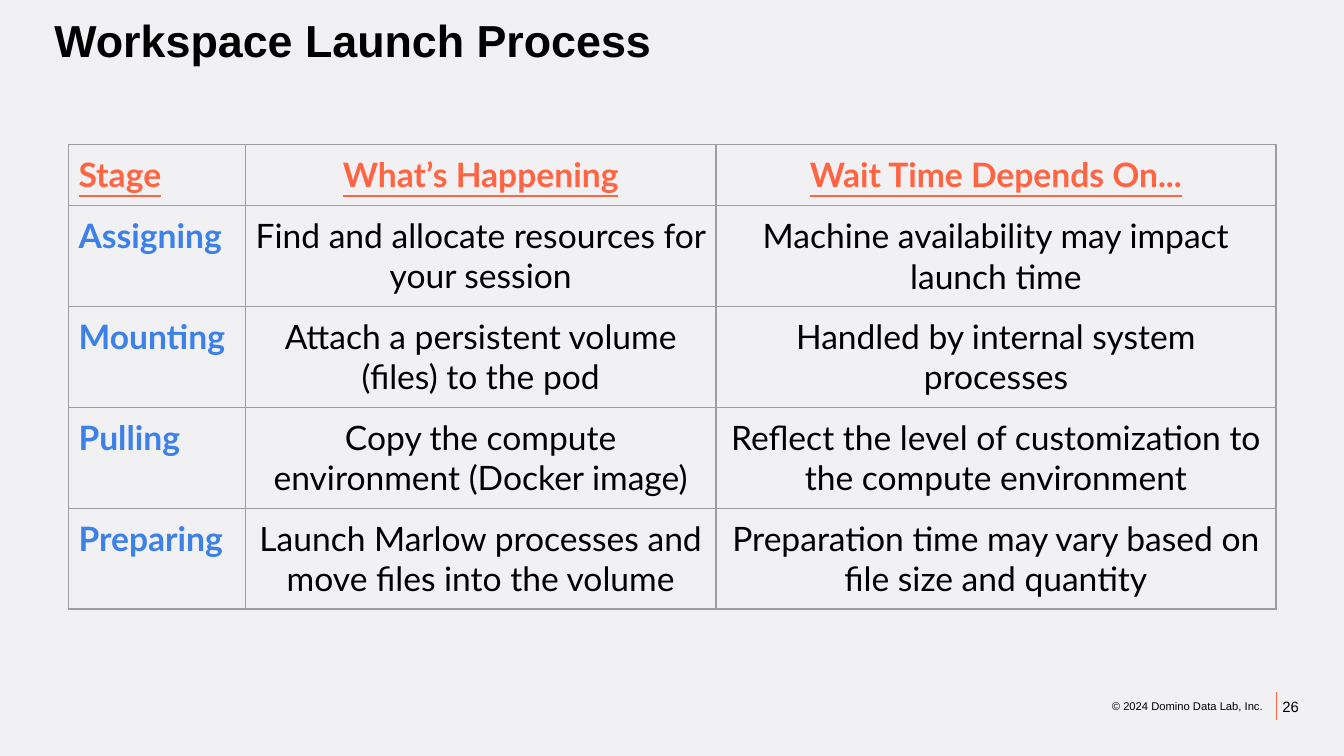
from lxml.etree import SubElement
from pptx import Presentation
from pptx.dml.color import RGBColor
from pptx.enum.shapes import MSO_CONNECTOR
from pptx.enum.text import MSO_ANCHOR, PP_ALIGN
from pptx.oxml.ns import qn
from pptx.util import Inches, Pt

# Slide size (16:9) and colours
WIDTH = Inches(10)
HEIGHT = WIDTH * 9 // 16
BACKGROUND = RGBColor(0xF1, 0xF0, 0xF3)
BLACK = RGBColor(0, 0, 0)
ORANGE = RGBColor(0xFF, 0x65, 0x43)
BLUE = RGBColor(0x3C, 0x81, 0xE7)
GRID_GREY = RGBColor(0x9E, 0x9E, 0x9E)
INSET = Pt(5.4)

# Table content and grid, in percent of the slide's width and height
COLUMNS = [13.17, 35, 41.67]
HEADER_ROW, STAGE_ROW = 8.07, 13.35
STAGES = [
    ["Stage", "What’s Happening", "Wait Time Depends On..."],
    ["Assigning", "Find and allocate resources for your session",
     "Machine availability may impact launch time"],
    ["Mounting", "Attach a persistent volume (files) to the pod",
     "Handled by internal system processes"],
    ["Pulling", "Copy the compute environment (Docker image)",
     "Reflect the level of customization to the compute environment"],
    ["Preparing", "Launch Marlow processes and move files into the volume",
     "Preparation time may vary based on file size and quantity"],
]


def across(percent):
    return round(WIDTH * percent / 100)


def down(percent):
    return round(HEIGHT * percent / 100)


def write(frame, text, size=18, font="Arial", color=BLACK, bold=False,
          underline=False, align=PP_ALIGN.LEFT, spacing=None):
    """Put one formatted paragraph into a text frame."""
    para = frame.paragraphs[0]
    para.alignment = align
    if spacing:
        para.line_spacing = spacing
    span = para.add_run()
    span.text = text
    span.font.size = Pt(size)
    span.font.name = font
    span.font.bold = bold
    span.font.underline = underline
    span.font.color.rgb = color


def add_text(page, left, top, width, height, text, **style):
    box = page.shapes.add_textbox(across(left), down(top), across(width), down(height))
    frame = box.text_frame
    frame.word_wrap = True
    frame.margin_left = frame.margin_right = INSET
    frame.margin_top = frame.margin_bottom = INSET // 2
    write(frame, text, **style)


def add_divider(page, left, top, bottom):
    line = page.shapes.add_connector(
        MSO_CONNECTOR.STRAIGHT, across(left), down(top), across(left), down(bottom))
    line.line.color.rgb = ORANGE
    line.line.width = Pt(0.75)
    SubElement(line._element.spPr, qn("a:effectLst"))


def add_borders(cell):
    properties = cell._tc.get_or_add_tcPr()
    for side in ("lnL", "lnR", "lnT", "lnB"):
        border = SubElement(properties, qn(f"a:{side}"), w=str(Pt(0.75)))
        fill = SubElement(border, qn("a:solidFill"))
        SubElement(fill, qn("a:srgbClr"), val=str(GRID_GREY))


def fill_cell(cell, text, row, column):
    add_borders(cell)
    cell.fill.background()
    cell.margin_left = cell.margin_right = INSET
    cell.margin_top = cell.margin_bottom = INSET
    header, stage = row == 0, column == 0
    if column == 2 and not header:
        cell.vertical_anchor = MSO_ANCHOR.MIDDLE
    write(cell.text_frame, text, font="Lato",
          color=ORANGE if header else BLUE if stage else BLACK,
          bold=header or stage, underline=header,
          align=PP_ALIGN.LEFT if stage else PP_ALIGN.CENTER)


def add_stage_table(page, left, top):
    heights = [HEADER_ROW] + [STAGE_ROW] * (len(STAGES) - 1)
    table = page.shapes.add_table(
        len(STAGES), len(COLUMNS), across(left), down(top),
        across(sum(COLUMNS)), down(sum(heights))).table
    table.first_row = table.horz_banding = False
    for column, width in zip(table.columns, COLUMNS):
        column.width = across(width)
    for row, height in zip(table.rows, heights):
        row.height = down(height)
    for row, texts in enumerate(STAGES):
        for column, text in enumerate(texts):
            fill_cell(table.cell(row, column), text, row, column)


def main():
    deck = Presentation()
    deck.slide_width, deck.slide_height = WIDTH, HEIGHT
    page = deck.slides.add_slide(deck.slide_layouts[6])
    page.background.fill.solid()
    page.background.fill.fore_color.rgb = BACKGROUND

    # Footer
    add_text(page, 76.8, 91.85, 17.9, 3.2, "© 2024 Domino Data Lab, Inc.",
             size=6, align=PP_ALIGN.RIGHT)
    add_text(page, 91, 91.56, 6.4, 3.74, "26", size=8, align=PP_ALIGN.RIGHT)
    add_divider(page, 95, 91.6, 95.3)

    # Title and table
    add_text(page, 3.3, 1.78, 91.7, 11.02, "Workspace Launch Process",
             size=24, bold=True, spacing=0.9)
    add_stage_table(page, 5.1, 19.1)

    deck.save("out.pptx")


if __name__ == "__main__":
    main()
